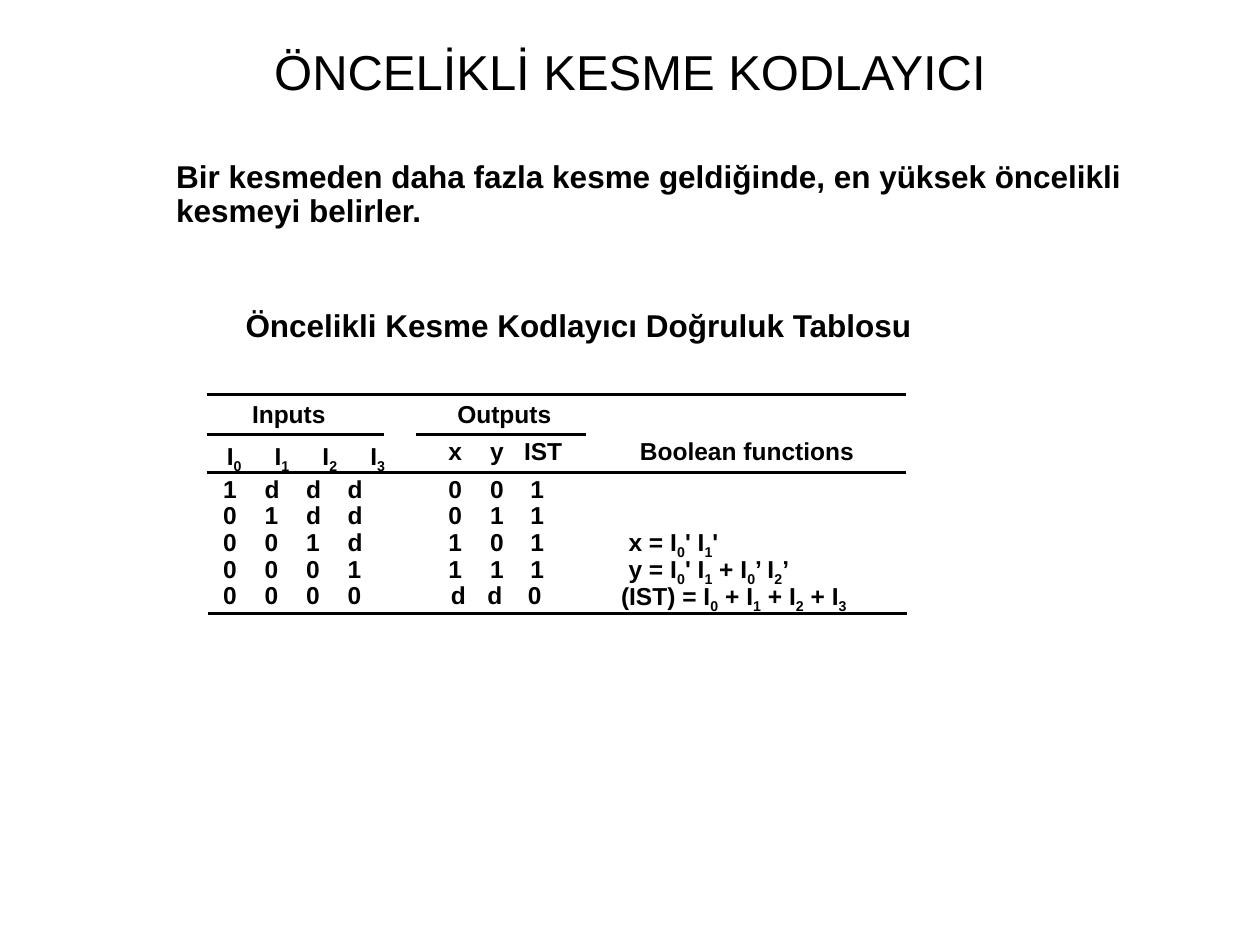
from dataclasses import dataclass

from lxml import etree
from pptx import Presentation
from pptx.dml.color import RGBColor
from pptx.enum.shapes import MSO_CONNECTOR
from pptx.enum.text import MSO_ANCHOR, PP_ALIGN
from pptx.oxml.ns import qn
from pptx.util import Inches, Pt

MIDDLE = MSO_ANCHOR.MIDDLE
CENTER = PP_ALIGN.CENTER
STRAIGHT = MSO_CONNECTOR.STRAIGHT
BLACK = RGBColor(0, 0, 0)
FONT = "Arial"
PLAIN_TABLE_STYLE = "{2D5ABB26-0587-4C30-8999-92F81FD0307C}"
TITLE_FORMAT = {"name": FONT, "size": Pt(28), "bold": False}
CAPTION_FORMAT = {"name": FONT, "size": Pt(18), "bold": True}
TABLE_FORMAT = {"name": FONT, "size": Pt(14), "bold": True}

COLUMN_WIDTHS = (0.37, 0.37, 0.37, 0.55, 0.5, 0.33, 0.52, 2.54)
ROW_HEIGHTS = (0.34, 0.32) + (0.21,) * 5
INPUTS = range(0, 4)
OUTPUTS = range(4, 7)
FUNCTIONS = 7
OUTPUT_INDENTS = (0.26, 0.09, 0.08)
LAST_OUTPUT_INDENTS = (0.28, 0.07, 0.06)


@dataclass
class Caption:
    text: str
    left: float
    top: float
    width: float
    height: float
    wraps: bool


@dataclass
class Entry:
    text: str
    indent: float
    lift: float = 0
    spacing: float = 0.9


@dataclass
class Rule:
    left: float
    right: float
    height: float


CAPTIONS = (
    Caption("Bir kesmeden daha fazla kesme geldiğinde, en yüksek öncelikli kesmeyi belirler.",
            1.3, 1.23, 8.14, 0.64, True),
    Caption("Öncelikli Kesme Kodlayıcı Doğruluk Tablosu", 1.85, 2.41, 5.51, 0.37, False),
)
TRUTH_ROWS = (
    ("1ddd", "001", OUTPUT_INDENTS),
    ("01dd", "011", OUTPUT_INDENTS),
    ("001d", "101", OUTPUT_INDENTS),
    ("0001", "111", OUTPUT_INDENTS),
    ("0000", "dd0", LAST_OUTPUT_INDENTS),
)
FUNCTION_ENTRIES = {
    4: Entry("x = I_0' I_1'", 0.34, spacing=0.8),
    5: Entry("y = I_0' I_1 + I_0’ I_2’", 0.34, spacing=0.8),
    6: Entry("(IST) = I_0 + I_1 + I_2 + I_3", 0.28, spacing=0.8),
}
RULES = (
    Rule(1.65, 7.2, 4.87),
    Rule(1.64, 7.19, 3.75),
    Rule(1.64, 7.19, 3.13),
    Rule(1.64, 3.05, 3.45),
    Rule(3.3, 4.65, 3.45),
)


def add_run(paragraph, text: str, formats: dict, subscript: bool = False) -> None:
    run = paragraph.add_run()
    run.text = text
    for attribute, value in formats.items():
        setattr(run.font, attribute, value)
    run.font.color.rgb = BLACK
    if subscript:
        run._r.get_or_add_rPr().set("baseline", "-25000")


def add_title(slide) -> None:
    title = slide.shapes.title
    title.left, title.top = Inches(0.26), Inches(0.22)
    title.width, title.height = Inches(9.48), Inches(0.69)
    frame = title.text_frame
    margins = {"margin_left": 0.07, "margin_right": 0.07, "margin_top": 0.03, "margin_bottom": 0.03}
    for attribute, value in margins.items():
        setattr(frame, attribute, Inches(value))
    frame.vertical_anchor = MIDDLE
    frame.paragraphs[0].alignment = CENTER
    add_run(frame.paragraphs[0], "ÖNCELİKLİ KESME KODLAYICI", TITLE_FORMAT)


def add_caption(slide, caption: Caption) -> None:
    box = slide.shapes.add_textbox(Inches(caption.left), Inches(caption.top),
                                   Inches(caption.width), Inches(caption.height))
    box.text_frame.word_wrap = caption.wraps
    paragraph = box.text_frame.paragraphs[0]
    paragraph.line_spacing = 0.9
    add_run(paragraph, caption.text, CAPTION_FORMAT)


def add_rule(slide, rule: Rule) -> None:
    connector = slide.shapes.add_connector(STRAIGHT, Inches(rule.left), Inches(rule.height),
                                           Inches(rule.right), Inches(rule.height))
    connector.line.color.rgb = BLACK
    connector.line.width = Pt(2)
    etree.SubElement(connector._element.spPr, qn("a:effectLst"))


def table_entries() -> dict:
    entries = {
        (0, INPUTS[0]): Entry("Inputs", 0.36),
        (0, OUTPUTS[0]): Entry("Outputs", 0.33),
        (1, FUNCTIONS): Entry("Boolean functions", 0.43, lift=0.06),
    }
    for index, column in enumerate(INPUTS):
        entries[1, column] = Entry(f"I_{index}", 0.16 + 0.01 * index)
    for column, name, indent in zip(OUTPUTS, ("x", "y", "IST"), (0.26, 0.09, 0.03)):
        entries[1, column] = Entry(name, indent, lift=0.06)
    for row, (inputs, outputs, indents) in enumerate(TRUTH_ROWS, start=2):
        for index, (column, value) in enumerate(zip(INPUTS, inputs)):
            entries[row, column] = Entry(value, 0.13 - 0.04 * index)
        for column, value, indent in zip(OUTPUTS, outputs, indents):
            entries[row, column] = Entry(value, indent)
    for row, entry in FUNCTION_ENTRIES.items():
        entries[row, FUNCTIONS] = entry
    return entries


def fill_cell(cell, entry: Entry) -> None:
    cell.margin_left, cell.margin_bottom = Inches(entry.indent), Inches(entry.lift)
    cell.margin_right = cell.margin_top = 0
    cell.vertical_anchor = MIDDLE
    cell.fill.background()
    paragraph = cell.text_frame.paragraphs[0]
    paragraph.line_spacing = entry.spacing
    first, *indexed = entry.text.split("_")
    if first:
        add_run(paragraph, first, TABLE_FORMAT)
    for part in indexed:
        add_run(paragraph, part[0], TABLE_FORMAT, subscript=True)
        if part[1:]:
            add_run(paragraph, part[1:], TABLE_FORMAT)
    etree.SubElement(paragraph._p, qn("a:endParaRPr"), sz="1000")


def add_truth_table(slide) -> None:
    frame = slide.shapes.add_table(len(ROW_HEIGHTS), len(COLUMN_WIDTHS), Inches(1.64), Inches(3.13),
                                   Inches(sum(COLUMN_WIDTHS)), Inches(sum(ROW_HEIGHTS)))
    table = frame.table
    table.first_row = table.horz_banding = False
    table._tbl.tblPr.find(qn("a:tableStyleId")).text = PLAIN_TABLE_STYLE
    for column, width in zip(table.columns, COLUMN_WIDTHS):
        column.width = Inches(width)
    for row, height in zip(table.rows, ROW_HEIGHTS):
        row.height = Inches(height)
    for group in (INPUTS, OUTPUTS):
        table.cell(0, group[0]).merge(table.cell(0, group[-1]))
    entries = table_entries()
    for row in range(len(ROW_HEIGHTS)):
        for column in range(len(COLUMN_WIDTHS)):
            fill_cell(table.cell(row, column), entries.get((row, column), Entry("", 0)))


def main() -> None:
    presentation = Presentation()
    presentation.slide_width, presentation.slide_height = Inches(10), Inches(7.5)
    slide = presentation.slides.add_slide(presentation.slide_layouts[5])
    add_title(slide)
    for caption in CAPTIONS:
        add_caption(slide, caption)
    add_truth_table(slide)
    for rule in RULES:
        add_rule(slide, rule)
    presentation.save("out.pptx")


if __name__ == "__main__":
    main()
